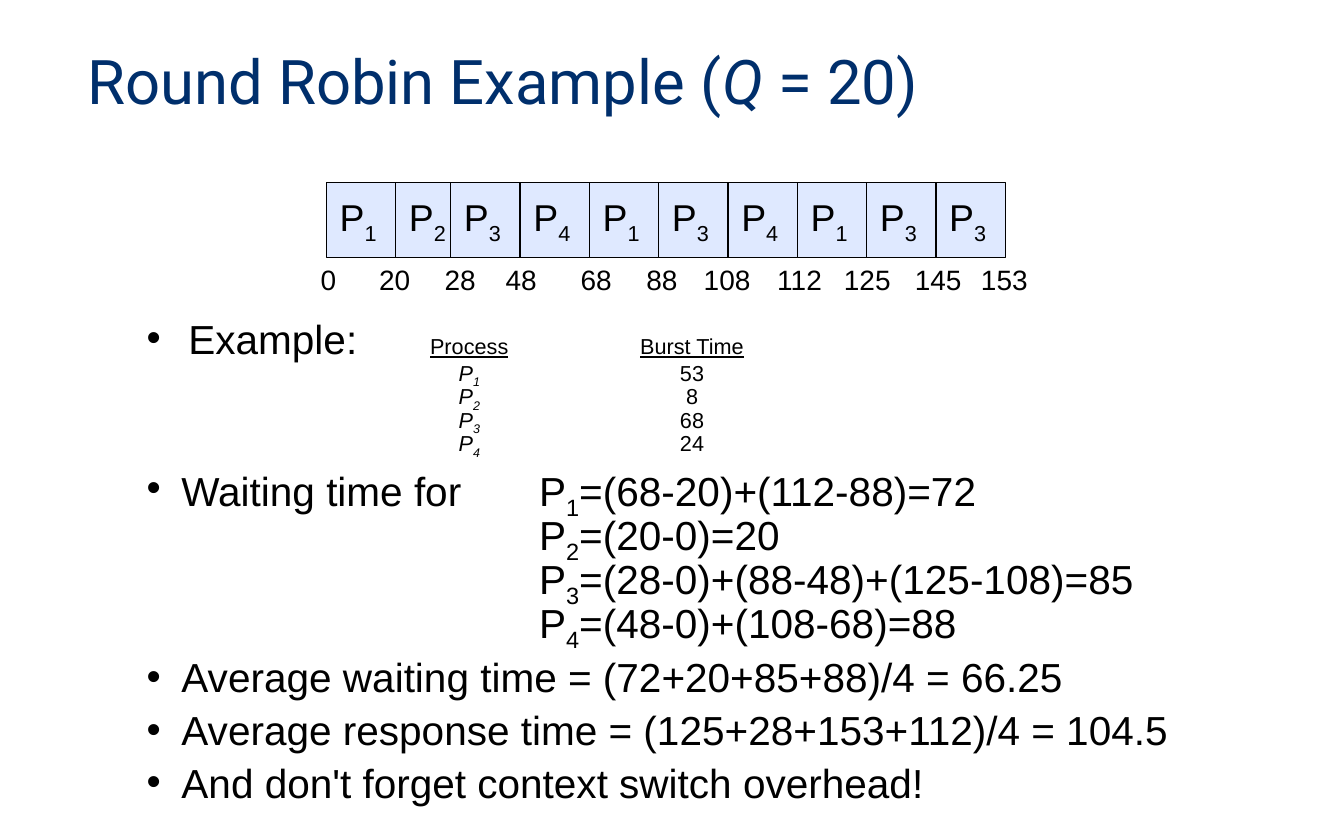
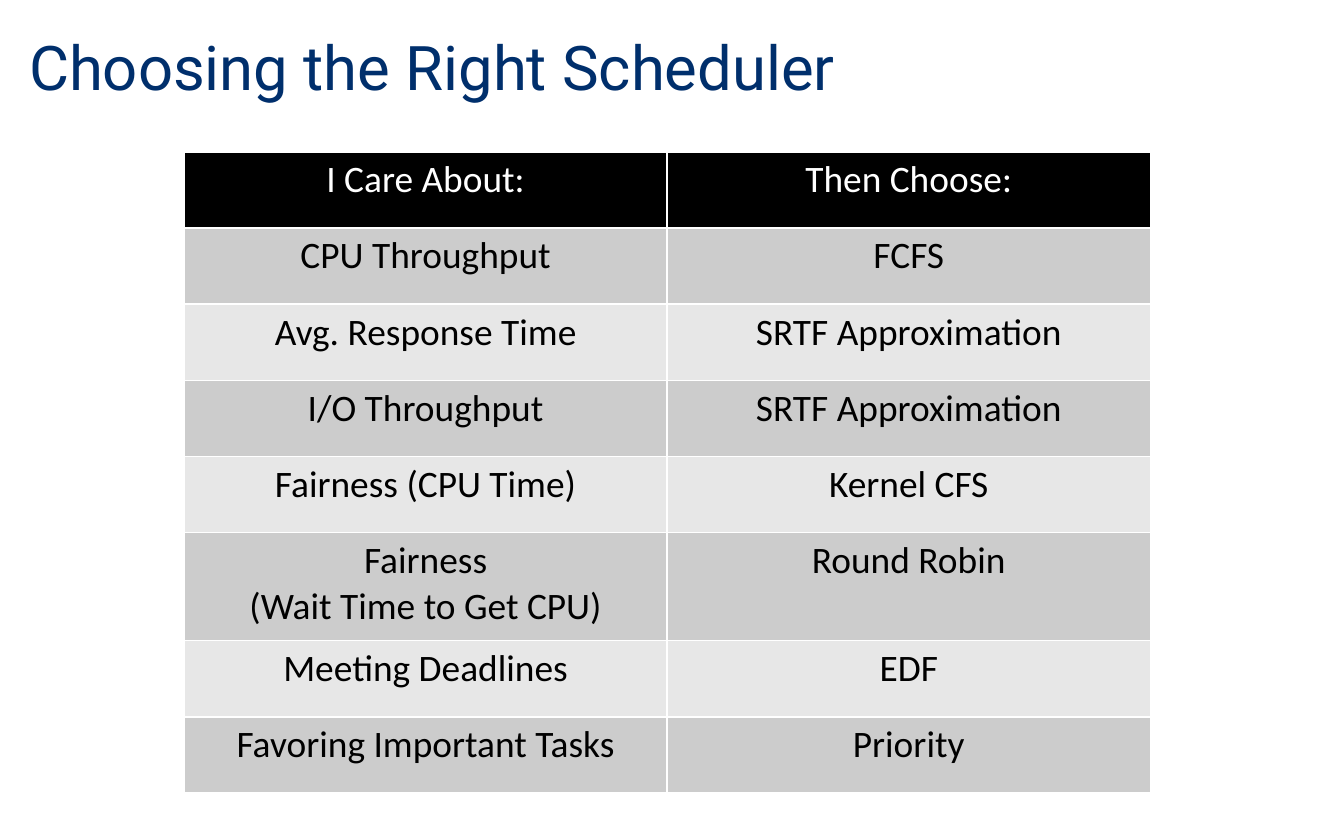
from copy import deepcopy

from lxml import etree
from pptx import Presentation
from pptx.dml.color import RGBColor
from pptx.enum import shapes, text
from pptx.oxml import ns
from pptx.util import Cm, Pt

# Shared look
NAVY, BLACK, WHITE = "002F6C", "000000", "FFFFFF"
SLICE_BLUE, DARK_BAND, LIGHT_BAND = "DFE9FF", "CCCCCC", "E7E7E7"
TITLE_FONT, BODY_FONT, TABLE_FONT = "Roboto", "Arial", "Calibri"
BODY_SIZE, SMALL_SIZE = 21.7, 11.6

# Gantt chart: process number of each slice, and time marks with their centres (cm)
SLICES = [1, 2, 3, 4, 1, 3, 4, 1, 3, 3]
SHORT_SLICE = 2
MARKS = {0: 6.22, 20: 7.47, 28: 8.71, 48: 9.86, 68: 11.28, 88: 12.52,
         108: 13.75, 112: 15.14, 125: 16.4, 145: 17.74, 153: 18.99}

BURSTS = [53, 8, 68, 24]
WAITS = ["(68-20)+(112-88)=72", "(20-0)=20",
         "(28-0)+(88-48)+(125-108)=85", "(48-0)+(108-68)=88"]
SUMMARY = ["Average waiting time = (72+20+85+88)/4 = 66.25",
           "Average response time = (125+28+153+112)/4 = 104.5",
           "And don't forget context switch overhead!"]
TAB_STOPS = [(6.1, "ctr"), (7.42, "l"), (10.31, "ctr")]

CHOICES = [("I Care About:", "Then Choose:"),
           ("CPU Throughput", "FCFS"),
           ("Avg. Response Time", "SRTF Approximation"),
           ("I/O Throughput", "SRTF Approximation"),
           ("Fairness (CPU Time)", "Kernel CFS"),
           ("Fairness\v(Wait Time to Get CPU)", "Round Robin"),
           ("Meeting Deadlines", "EDF"),
           ("Favoring Important Tasks", "Priority")]


def color(hex_code):
    return RGBColor.from_string(hex_code)


def add_element(parent, tag, **attributes):
    element = etree.SubElement(parent, ns.qn(tag))
    for name, value in attributes.items():
        element.set(name, str(value))
    return element


def style_span(span, font, size, hex_code, marks=""):
    """Marks: i italic, u underlined, s subscript."""
    span.font.name = font
    span.font.size = Pt(size)
    span.font.color.rgb = color(hex_code)
    if "i" in marks:
        span.font.italic = True
    if "u" in marks:
        span.font.underline = True
    if "s" in marks:
        span.font._element.set("baseline", "-25000")


def write(para, pieces, font, size, hex_code=BLACK):
    """Pieces are (text, marks) or (text, marks, size); "\\n" alone breaks the line."""
    for words, marks, *own_size in pieces:
        if words == "\n":
            line_break = para._p.add_br()
            line_break.append(deepcopy(para.runs[-1].font._element))
            continue
        span = para.add_run()
        span.text = words
        style_span(span, font, own_size[0] if own_size else size, hex_code, marks)


def add_box(holder, left, top, width, height, anchor, wrap=True):
    box = holder.shapes.add_textbox(Cm(left), Cm(top), Cm(width), Cm(height))
    box.text_frame.word_wrap = wrap
    box.text_frame.vertical_anchor = anchor
    return box


def add_title(page, place, pieces):
    box = add_box(page, *place, text.MSO_ANCHOR.MIDDLE)
    para = box.text_frame.paragraphs[0]
    para.line_spacing = 0.9
    write(para, pieces, TITLE_FONT, 33, NAVY)


def add_slice(group, left, width, number):
    box = group.shapes.add_shape(shapes.MSO_SHAPE.RECTANGLE,
                                 Cm(left), Cm(3.45), Cm(width), Cm(1.42))
    box.shadow.inherit = False
    box.fill.solid()
    box.fill.fore_color.rgb = color(SLICE_BLUE)
    box.line.color.rgb = color(BLACK)
    box.line.width = Pt(0.75)
    box.text_frame.word_wrap = False
    box.text_frame.vertical_anchor = text.MSO_ANCHOR.MIDDLE
    para = box.text_frame.paragraphs[0]
    para.alignment = text.PP_ALIGN.LEFT
    write(para, [("P", ""), (str(number), "s")], BODY_FONT, 20)


def add_gantt(page):
    group = page.shapes.add_group_shape()
    left = 6.17
    for number in SLICES:
        width = 1.04 if number == SHORT_SLICE else 1.31
        add_slice(group, left, width, number)
        left += width
    for time, centre in MARKS.items():
        width = 0.53 + 0.29 * len(str(time))
        box = add_box(group, centre - width / 2, 4.83, width, 0.89,
                      text.MSO_ANCHOR.MIDDLE, wrap=False)
        box.text_frame.auto_size = text.MSO_AUTO_SIZE.SHAPE_TO_FIT_TEXT
        write(box.text_frame.paragraphs[0], [(str(time), "")], BODY_FONT, 15)


def format_bullet(para, indent):
    para.line_spacing = 0.8
    para.space_before = Pt(7.5)
    properties = para._p.get_or_add_pPr()
    properties.set("marL", str(Cm(indent)))
    properties.set("indent", str(-Cm(indent)))
    add_element(properties, "a:buFont", typeface=BODY_FONT)
    add_element(properties, "a:buChar", char="•")
    stops = add_element(properties, "a:tabLst")
    for position, alignment in TAB_STOPS:
        add_element(stops, "a:tab", pos=Cm(position), algn=alignment)


def burst_pieces():
    pieces = [("Example:", ""), ("\t", "", SMALL_SIZE), ("Process", "u", SMALL_SIZE),
              ("\t\t", "", SMALL_SIZE), ("Burst Time", "u", SMALL_SIZE)]
    for number, burst in enumerate(BURSTS, 1):
        pieces += [("\n", ""), ("\t", "", SMALL_SIZE), ("P", "i", SMALL_SIZE),
                   (str(number), "is", SMALL_SIZE), (f"\t\t{burst}", "", SMALL_SIZE)]
    return pieces


def wait_pieces():
    pieces = [("Waiting time for", "")]
    for number, wait in enumerate(WAITS, 1):
        if number > 1:
            pieces.append(("\n", ""))
        pieces += [("\t\tP", ""), (str(number), "s"), ("=" + wait, "")]
    return pieces


def add_body(page):
    box = add_box(page, 2.52, 5.99, 20.12, 9.88, text.MSO_ANCHOR.TOP)
    items = [burst_pieces(), wait_pieces()] + [[(line, "")] for line in SUMMARY]
    for index, pieces in enumerate(items):
        frame = box.text_frame
        para = frame.add_paragraph() if index else frame.paragraphs[0]
        format_bullet(para, 0.66 if index else 0.79)
        write(para, pieces, BODY_FONT, BODY_SIZE)


def set_borders(cell):
    properties = cell._tc.get_or_add_tcPr()
    for index, side in enumerate(["a:lnL", "a:lnR", "a:lnT", "a:lnB"]):
        line = add_element(properties, side, w=Pt(1))
        add_element(add_element(line, "a:solidFill"), "a:srgbClr", val=WHITE)
        properties.insert(index, line)


def fill_cell(cell, words, fill, ink):
    cell.margin_left = cell.margin_right = Cm(0.2)
    cell.margin_top = cell.margin_bottom = Cm(0.1)
    cell.fill.solid()
    cell.fill.fore_color.rgb = color(fill)
    set_borders(cell)
    cell.text_frame.text = words
    para = cell.text_frame.paragraphs[0]
    para.alignment = text.PP_ALIGN.CENTER
    for span in para.runs:
        style_span(span, TABLE_FONT, 20, ink)


def add_choices(page):
    frame = page.shapes.add_table(len(CHOICES), 2, Cm(3.48), Cm(2.87), Cm(18.26), Cm(12.12))
    table = frame.table
    for column in table.columns:
        column.width = Cm(9.13)
    for index, words in enumerate(CHOICES):
        table.rows[index].height = Cm(2.04 if "\v" in words[0] else 1.44)
        band = DARK_BAND if index % 2 else LIGHT_BAND
        look = (band, BLACK) if index else (BLACK, WHITE)
        for column, entry in enumerate(words):
            fill_cell(table.cell(index, column), entry, *look)


def main():
    deck = Presentation()
    deck.slide_width, deck.slide_height = Cm(25.4), Cm(15.88)
    blank = deck.slide_layouts[6]

    # Round robin example
    page = deck.slides.add_slide(blank)
    add_title(page, (1.4, 0.61, 18.64, 1.96),
              [("Round Robin Example (", ""), ("Q", "i"), (" = 20)", "")])
    add_body(page)
    add_gantt(page)

    # Choice of scheduler
    page = deck.slides.add_slide(blank)
    add_title(page, (0.3, 0.25, 21.64, 2.18), [("Choosing the Right Scheduler", "")])
    add_choices(page)

    deck.save("out.pptx")


main()
